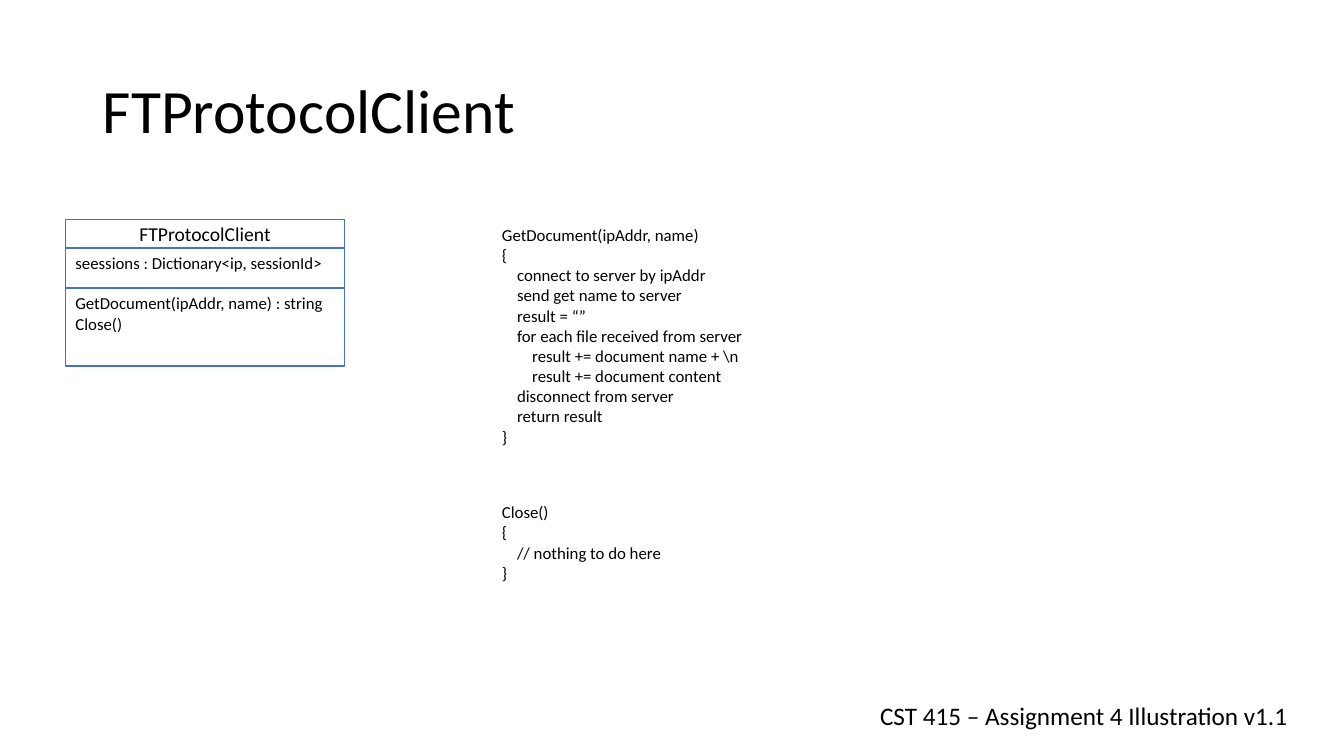
from pptx import Presentation
from pptx.dml.color import RGBColor
from pptx.enum import shapes, text
from pptx.util import Inches, Pt

COLORS = {"text": "000000", "fill": "FFFFFF", "line": "4472C4"}
FONT = "Calibri"
INDENT = 0.15  # inches per code level

TITLE = "FTProtocolClient"
FOOTER = "CST 415 – Assignment 4 Illustration v1.1"

# Class box compartments: height, lines, format
CLASS_LEFT, CLASS_TOP, CLASS_WIDTH = 0.65, 2.18, 2.77
COMPARTMENTS = [
    (0.28, ["FTProtocolClient"],
     {"size": 14, "align": text.PP_ALIGN.CENTER, "anchor": text.MSO_ANCHOR.MIDDLE}),
    (0.4, ["seessions : Dictionary<ip, sessionId>"], {}),
    (0.77, ["GetDocument(ipAddr, name) : string", "Close()"], {}),
]

# Pseudocode: position and size, then (level, line)
CODE = [
    ((4.88, 2.18, 3.89, 2.32), [
        (0, "GetDocument(ipAddr, name)"),
        (0, "{"),
        (1, "connect to server by ipAddr"),
        (1, "send get name to server"),
        (1, "result = “”"),
        (1, "for each file received from server"),
        (2, "result += document name + \\n"),
        (2, "result += document content"),
        (1, "disconnect from server"),
        (1, "return result"),
        (0, "}"),
    ]),
    ((4.88, 4.93, 2.54, 0.91), [
        (0, "Close()"),
        (0, "{"),
        (1, "// nothing to do here"),
        (0, "}"),
    ]),
]


def rgb(name):
    """Return the named colour."""
    return RGBColor.from_string(COLORS[name])


def write(sp, lines, size=12, align=text.PP_ALIGN.LEFT,
          anchor=text.MSO_ANCHOR.TOP, wrap=True, spacing=1.0):
    """Fill a shape with lines, each a string or a (level, string) pair."""
    tf = sp.text_frame
    frame = {"word_wrap": wrap, "vertical_anchor": anchor,
             "auto_size": text.MSO_AUTO_SIZE.NONE}
    for key, value in frame.items():
        setattr(tf, key, value)
    for i, line in enumerate(lines):
        level, words = line if isinstance(line, tuple) else (0, line)
        p = tf.add_paragraph() if i else tf.paragraphs[0]
        p.alignment, p.line_spacing = align, spacing
        if level:
            p._p.get_or_add_pPr().set("marL", str(Inches(INDENT * level)))
        r = p.add_run()
        r.text = words
        for key, value in {"name": FONT, "size": Pt(size), "bold": False}.items():
            setattr(r.font, key, value)
        r.font.color.rgb = rgb("text")


def add_text(s, box, lines, **fmt):
    """Add a text box at box, given in inches."""
    write(s.shapes.add_textbox(*map(Inches, box)), lines, **fmt)


def add_class(s):
    """Stack the compartments of the class box."""
    top = CLASS_TOP
    for height, lines, fmt in COMPARTMENTS:
        box = (CLASS_LEFT, top, CLASS_WIDTH, height)
        sp = s.shapes.add_shape(shapes.MSO_SHAPE.RECTANGLE, *map(Inches, box))
        sp.shadow.inherit = False
        sp.fill.solid()
        sp.fill.fore_color.rgb = rgb("fill")
        sp.line.color.rgb = rgb("line")
        sp.line.width = Pt(1)
        write(sp, lines, **fmt)
        top += height


prs = Presentation()
prs.slide_width, prs.slide_height = Inches(13.33), Inches(7.5)
s = prs.slides.add_slide(prs.slide_layouts[5])

title = s.shapes.title
for key, value in zip(("left", "top", "width", "height"), (0.92, 0.4, 11.5, 1.45)):
    setattr(title, key, Inches(value))
write(title, [TITLE], size=44, anchor=text.MSO_ANCHOR.MIDDLE, spacing=0.9)

add_class(s)
for box, lines in CODE:
    add_text(s, box, lines)
add_text(s, (8.63, 6.9, 4.29, 0.4), [FOOTER], size=18, wrap=False)

prs.save("out.pptx")
